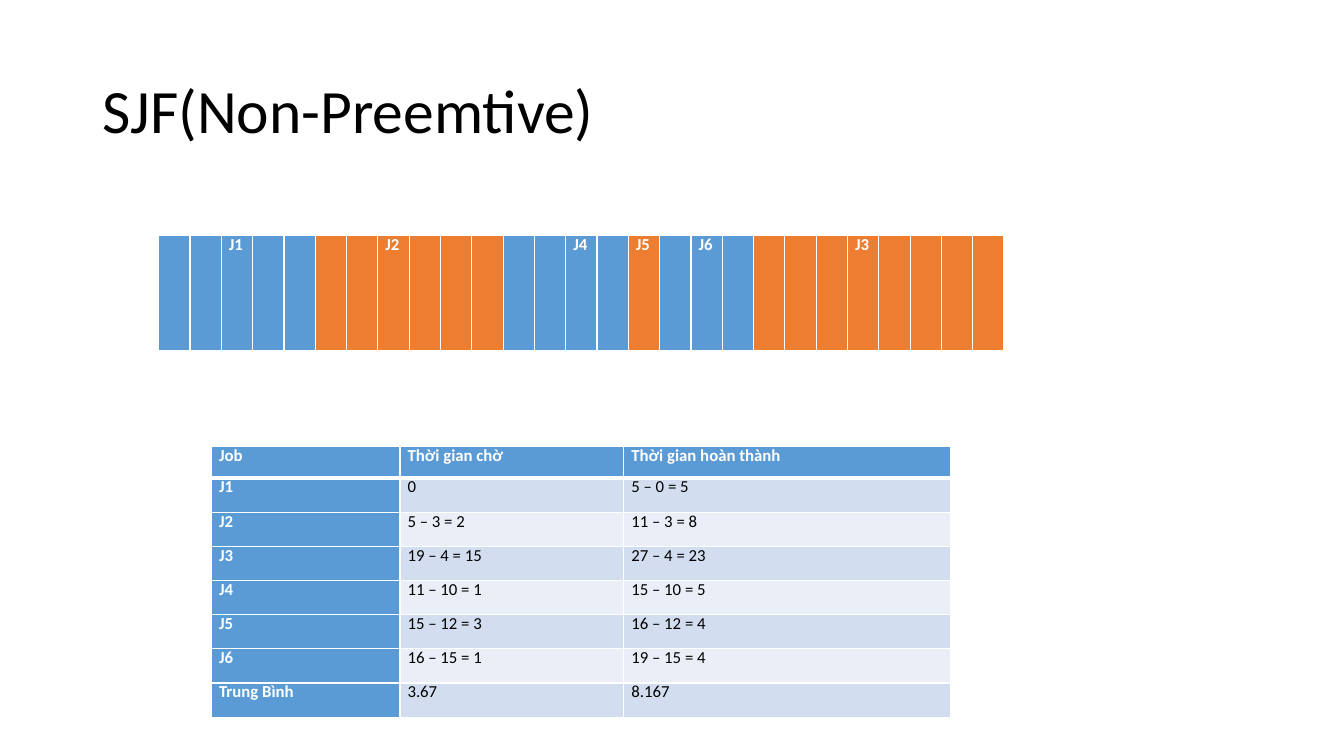
from lxml.etree import SubElement
from pptx import Presentation
from pptx.dml.color import RGBColor
from pptx.enum.text import MSO_ANCHOR, PP_ALIGN
from pptx.oxml.ns import qn
from pptx.util import Cm, Pt

TITLE = "SJF(Non-Preemtive)"
# job, time units, unit that carries the label
SCHEDULE = [
    ("J1", 5, 2),
    ("J2", 6, 2),
    ("J4", 4, 2),
    ("J5", 1, 0),
    ("J6", 3, 1),
    ("J3", 8, 3),
]
TIMES = [
    ("Job", "Thời gian chờ", "Thời gian hoàn thành"),
    ("J1", "0", "5 – 0 = 5"),
    ("J2", "5 – 3 = 2", "11 – 3 = 8"),
    ("J3", "19 – 4 = 15", "27 – 4 = 23"),
    ("J4", "11 – 10 = 1", "15 – 10 = 5"),
    ("J5", "15 – 12 = 3", "16 – 12 = 4"),
    ("J6", "16 – 15 = 1", "19 – 15 = 4"),
    ("Trung Bình", "3.67", "8.167"),
]
COLORS = {
    "blue": "5B9BD5",
    "orange": "ED7D31",
    "odd": "D2DEEF",
    "even": "EAEFF7",
    "white": "FFFFFF",
    "black": "000000",
}
FONT = "Calibri"
TIME_WIDTHS = [Cm(4.75), Cm(5.64), Cm(8.23)]
HEADER_HEIGHT, ROW_HEIGHT = Cm(0.8), Cm(0.86)


def color(name):
    return RGBColor.from_string(COLORS[name])


def add_run(paragraph, text, size, color_name, bold=False):
    run = paragraph.add_run()
    run.text = text
    run.font.name = FONT
    run.font.size = Pt(size)
    run.font.bold = bold
    run.font.color.rgb = color(color_name)


def set_borders(cell, top, bottom):
    """Draw white cell borders; top and bottom are widths in points."""
    properties = cell._tc.get_or_add_tcPr()
    for tag, width in (("a:lnL", 1), ("a:lnR", 1), ("a:lnT", top), ("a:lnB", bottom)):
        line = SubElement(properties, qn(tag), w=str(Pt(width)))
        fill = SubElement(line, qn("a:solidFill"))
        SubElement(fill, qn("a:srgbClr"), val=COLORS["white"])


def fill_cell(cell, text, fill, text_color="white", bold=True, top=1, bottom=1):
    set_borders(cell, top, bottom)
    cell.fill.solid()
    cell.fill.fore_color.rgb = color(fill)
    cell.margin_left = cell.margin_right = Cm(0.19)
    cell.margin_top = cell.margin_bottom = 0
    if text:
        paragraph = cell.text_frame.paragraphs[0]
        paragraph.alignment = PP_ALIGN.JUSTIFY
        paragraph.line_spacing = 0.9
        tabs = SubElement(paragraph._p.get_or_add_pPr(), qn("a:tabLst"))
        SubElement(tabs, qn("a:tab"), pos=str(Cm(17.63)), algn="r")
        add_run(paragraph, text, 12, text_color, bold)


def add_title(slide):
    title = slide.shapes.title
    title.left, title.top, title.width, title.height = Cm(2.33), Cm(1.01), Cm(29.21), Cm(3.68)
    title.text_frame.vertical_anchor = MSO_ANCHOR.MIDDLE
    paragraph = title.text_frame.paragraphs[0]
    paragraph.alignment = PP_ALIGN.LEFT
    paragraph.line_spacing = 0.9
    add_run(paragraph, TITLE, 44, "black")


def add_schedule(slide):
    units = [
        (job if unit == label_unit else "", ("blue", "orange")[index % 2])
        for index, (job, length, label_unit) in enumerate(SCHEDULE)
        for unit in range(length)
    ]
    table = slide.shapes.add_table(
        1, len(units), Cm(4), Cm(5.94), Cm(21.31), Cm(2.92)
    ).table
    for column, (label, fill) in enumerate(units):
        table.columns[column].width = Cm(21.31) // len(units)
        fill_cell(table.cell(0, column), label, fill, bottom=3)


def add_times(slide):
    height = HEADER_HEIGHT + ROW_HEIGHT * (len(TIMES) - 1)
    table = slide.shapes.add_table(
        len(TIMES), len(TIME_WIDTHS), Cm(5.33), Cm(11.25), sum(TIME_WIDTHS), height
    ).table
    for column, width in enumerate(TIME_WIDTHS):
        table.columns[column].width = width
    for row, values in enumerate(TIMES):
        table.rows[row].height = ROW_HEIGHT if row else HEADER_HEIGHT
        top, bottom = (3 if row == 1 else 1), (1 if row else 3)
        for column, text in enumerate(values):
            cell = table.cell(row, column)
            if row == 0 or column == 0:
                fill_cell(cell, text, "blue", top=top, bottom=bottom)
            else:
                band = "odd" if row % 2 else "even"
                fill_cell(cell, text, band, "black", False, top, bottom)


def main():
    presentation = Presentation()
    presentation.slide_width, presentation.slide_height = Cm(33.87), Cm(19.05)
    slide = presentation.slides.add_slide(presentation.slide_layouts[5])
    add_title(slide)
    add_schedule(slide)
    add_times(slide)
    presentation.save("out.pptx")


if __name__ == "__main__":
    main()
